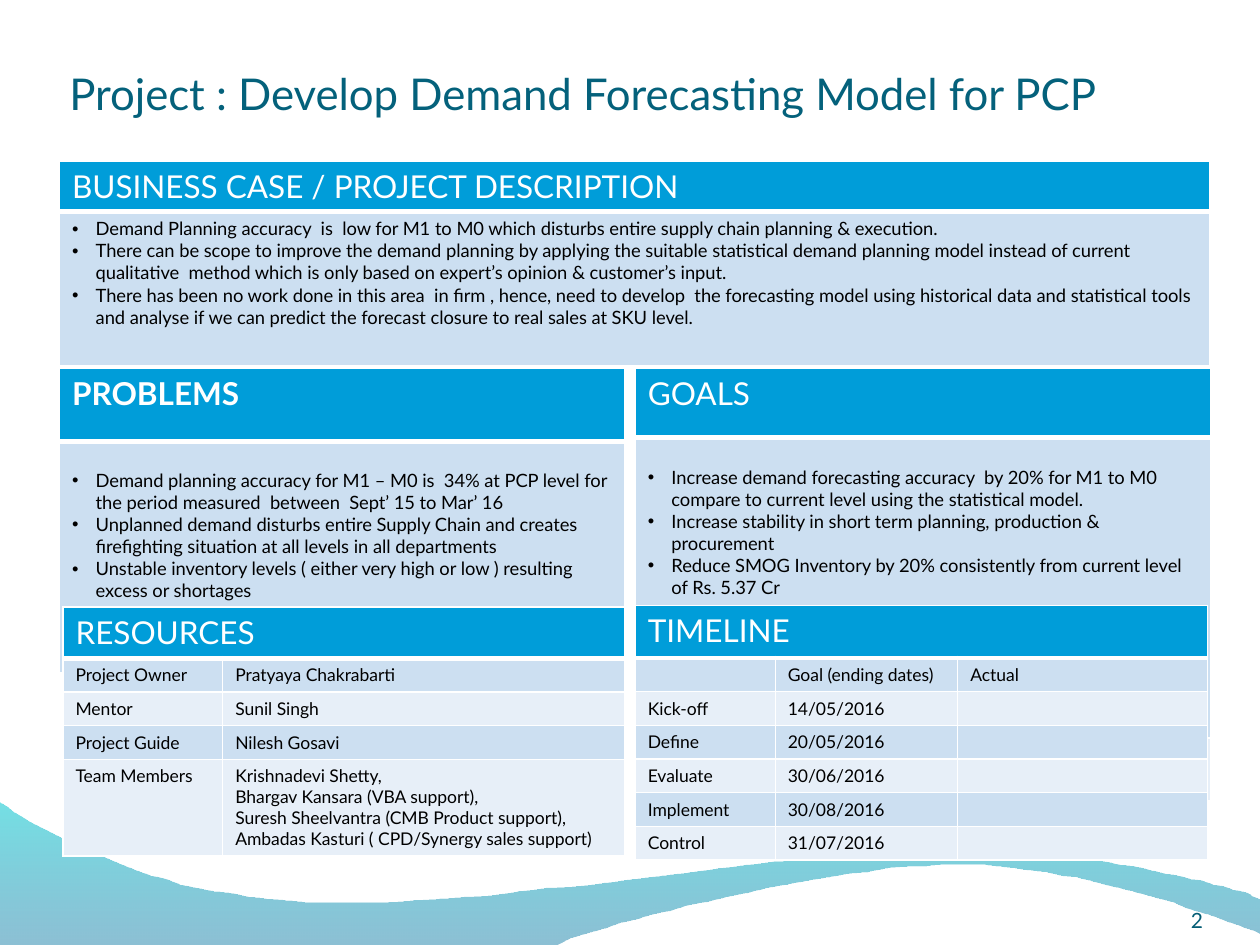
from lxml import etree
from pptx import Presentation
from pptx.dml.color import RGBColor
from pptx.enum.text import MSO_ANCHOR, PP_ALIGN
from pptx.oxml.ns import qn
from pptx.util import Pt

BOTTOM = MSO_ANCHOR.BOTTOM
LEFT, CENTER = PP_ALIGN.LEFT, PP_ALIGN.CENTER
WHITE = RGBColor(0xFF, 0xFF, 0xFF)
BLACK = RGBColor(0, 0, 0)
BLUE = RGBColor(0x00, 0x9D, 0xD9)
PALE = RGBColor(0xCC, 0xDF, 0xF1)
LIGHT = RGBColor(0xE7, 0xEF, 0xF8)
TEAL = RGBColor(0x04, 0x61, 0x7B)
DEEP = RGBColor(0x04, 0x5D, 0x75)
SEA = RGBColor(0x00, 0x74, 0xA1)
AQUA = RGBColor(0x00, 0xC6, 0xCF)

CASE = """Demand Planning accuracy  is  low for M1 to M0 which disturbs entire supply chain planning & execution.
There can be scope to improve the demand planning by applying the suitable statistical demand planning model instead of current qualitative  method which is only based on expert’s opinion & customer’s input.
There has been no work done in this area  in firm , hence, need to develop  the forecasting model using historical data and statistical tools and analyse if we can predict the forecast closure to real sales at SKU level."""
PROBLEMS = """Demand planning accuracy for M1 – M0 is  34% at PCP level for the period measured  between  Sept’ 15 to Mar’ 16
Unplanned demand disturbs entire Supply Chain and creates firefighting situation at all levels in all departments
Unstable inventory levels ( either very high or low ) resulting excess or shortages"""
GOALS = """Increase demand forecasting accuracy  by 20% for M1 to M0 compare to current level using the statistical model.
Increase stability in short term planning, production & procurement
Reduce SMOG Inventory by 20% consistently from current level of Rs. 5.37 Cr"""
TEAM = """Krishnadevi Shetty,
Bhargav Kansara (VBA support),
Suresh Sheelvantra (CMB Product support), Ambadas Kasturi ( CPD/Synergy sales support)"""
PEOPLE = [
    ["Project Owner", "Pratyaya Chakrabarti"],
    ["Mentor", "Sunil Singh"],
    ["Project Guide", "Nilesh Gosavi"],
    ["Team Members", TEAM],
]
DATES = [
    ["", "Goal (ending dates)", "Actual"],
    ["Kick-off", "14/05/2016", ""],
    ["Define", "20/05/2016", ""],
    ["Evaluate", "30/06/2016", ""],
    ["Implement", "30/08/2016", ""],
    ["Control", "31/07/2016", ""],
]
CURVES = [
    [(316.8, 540), (342.7, 527), (478.1, 493.9), (545.8, 493.9)],
    [(545.8, 493.9), (614.2, 493.9), (689.8, 521.3), (720, 532.8)],
    [(720.7, 513.4), (707.8, 507.6), (626.4, 484.6), (537.1, 485.3)],
    [(537.1, 485.3), (447.8, 485.3), (275, 519.1), (185, 514.8)],
    [(185, 514.8), (92.9, 514.1), (33.1, 479.5), (-0.7, 457.9)],
]


def put(frame, text, size=10, color=BLACK, bold=False, align=LEFT, bullet=False):
    """Fill a text frame, one paragraph for each line."""
    for i, line in enumerate(text.split("\n")):
        para = frame.add_paragraph() if i else frame.paragraphs[0]
        para.alignment = align
        if not line:
            etree.SubElement(para._p, qn("a:endParaRPr"), sz=str(int(size * 100)))
            continue
        if bullet:
            props = para._p.get_or_add_pPr()
            props.set("marL", str(Pt(13.5)))
            props.set("indent", str(-Pt(13.5)))
            etree.SubElement(props, qn("a:buFont"), typeface="Arial")
            etree.SubElement(props, qn("a:buChar"), char="•")
        run = para.add_run()
        run.text = line
        run.font.name = "Lato"
        run.font.size = Pt(size)
        run.font.bold = bold
        run.font.color.rgb = color


def curve(ends, steps=24):
    """Return points along a cubic curve."""
    a, b, c, d = ends
    return [
        tuple((1 - t) ** 3 * p + 3 * t * (1 - t) ** 2 * q + 3 * t * t * (1 - t) * r + t ** 3 * s
              for p, q, r, s in zip(a, b, c, d))
        for t in (n / steps for n in range(steps + 1))
    ]


class Sheet:
    """Hold the style and the current slide."""

    def __init__(self, deck):
        """Add a title-only slide."""
        self.slide = deck.slides.add_slide(deck.slide_layouts[5])
        self.shapes = self.slide.shapes

    def frame(self, shape, inset):
        """Set up a bottom-anchored text frame."""
        frame = shape.text_frame
        frame.word_wrap = True
        frame.vertical_anchor = BOTTOM
        frame.margin_left = frame.margin_right = Pt(inset)
        frame.margin_top = frame.margin_bottom = Pt(inset)
        return frame

    def title(self, text):
        """Place the title."""
        shape = self.shapes.title
        shape.left, shape.top, shape.width, shape.height = Pt(36), Pt(0), Pt(642), Pt(72)
        put(self.frame(shape, 3.6), text, size=25, color=TEAL)

    def number(self, text):
        """Place the page number."""
        box = self.shapes.add_textbox(Pt(660), Pt(504), Pt(48), Pt(28.8))
        put(self.frame(box, 0), text, size=12, color=DEEP, align=CENTER)

    def wave(self):
        """Draw the wave along the foot."""
        pen = self.shapes.build_freeform(0, 540, scale=Pt(1))
        pen.add_line_segments([dot for ends in CURVES for dot in curve(ends)], close=True)
        shape = pen.convert_to_shape()
        shape.shadow.inherit = False
        shape.line.fill.background()
        shape.fill.gradient()
        shape.fill.gradient_angle = 90
        for stop, color in zip(shape.fill.gradient_stops, (SEA, AQUA)):
            stop.color.rgb = color
        for tint, alpha in zip(shape._element.spPr.iter(qn("a:srgbClr")), (45, 55)):
            etree.SubElement(tint, qn("a:alpha"), val=str(alpha * 1000))

    def cell(self, cell, fill, foot=1):
        """Give a cell white borders and a fill."""
        props = cell._tc.get_or_add_tcPr()
        for side in "LRTB":
            width = foot if side == "B" else 1
            line = etree.SubElement(props, qn("a:ln" + side), w=str(Pt(width)))
            paint = etree.SubElement(line, qn("a:solidFill"))
            etree.SubElement(paint, qn("a:srgbClr"), val=str(WHITE))
        cell.fill.solid()
        cell.fill.fore_color.rgb = fill

    def table(self, left, top, cols, rows, head, body, bold=False, pad=3.6, **form):
        """Add a table with a heading row and banded body rows."""
        grid = self.shapes.add_table(len(rows), len(cols), Pt(left), Pt(top),
                                     Pt(sum(cols)), Pt(sum(rows))).table
        grid.first_row = grid.horz_banding = False
        for col, width in zip(grid.columns, cols):
            col.width = Pt(width)
        for row, height in zip(grid.rows, rows):
            row.height = Pt(height)
        first = grid.cell(0, 0)
        if len(cols) > 1:
            first.merge(grid.cell(0, len(cols) - 1))
        for cell in grid.rows[0].cells:
            self.cell(cell, BLUE, foot=3)
        put(first.text_frame, head, size=18, color=WHITE, bold=bold)
        for i, texts in enumerate(body):
            for j, text in enumerate(texts):
                cell = grid.cell(i + 1, j)
                self.cell(cell, LIGHT if i % 2 else PALE)
                cell.margin_top = Pt(pad)
                put(cell.text_frame, text, **form)


def main():
    """Build the project charter slide."""
    deck = Presentation()
    deck.slide_width, deck.slide_height = Pt(720), Pt(540)
    sheet = Sheet(deck)
    sheet.wave()
    sheet.title("Project : Develop Demand Forecasting Model for PCP")
    sheet.number("2")
    points = {"size": 10.5, "bullet": True}
    sheet.table(34, 92, [657.4], [28, 88], "BUSINESS CASE / PROJECT DESCRIPTION",
                [[CASE]], **points)
    sheet.table(34, 210.6, [323], [41.5, 132.5], "PROBLEMS", [[PROBLEMS]],
                bold=True, pad=16.2, **points)
    sheet.table(363, 210.6, [328.6], [39.5, 171.5, 36], "GOALS", [[GOALS], [""]],
                pad=16.2, **points)
    sheet.table(36, 347, [91.3, 229.7], [29.2] + [19.2] * 3 + [55.2], "RESOURCES", PEOPLE)
    sheet.table(363, 346, [80, 104.3, 142.7], [30] + [19.2] * 6, "TIMELINE", DATES)
    deck.save("out.pptx")


if __name__ == "__main__":
    main()
